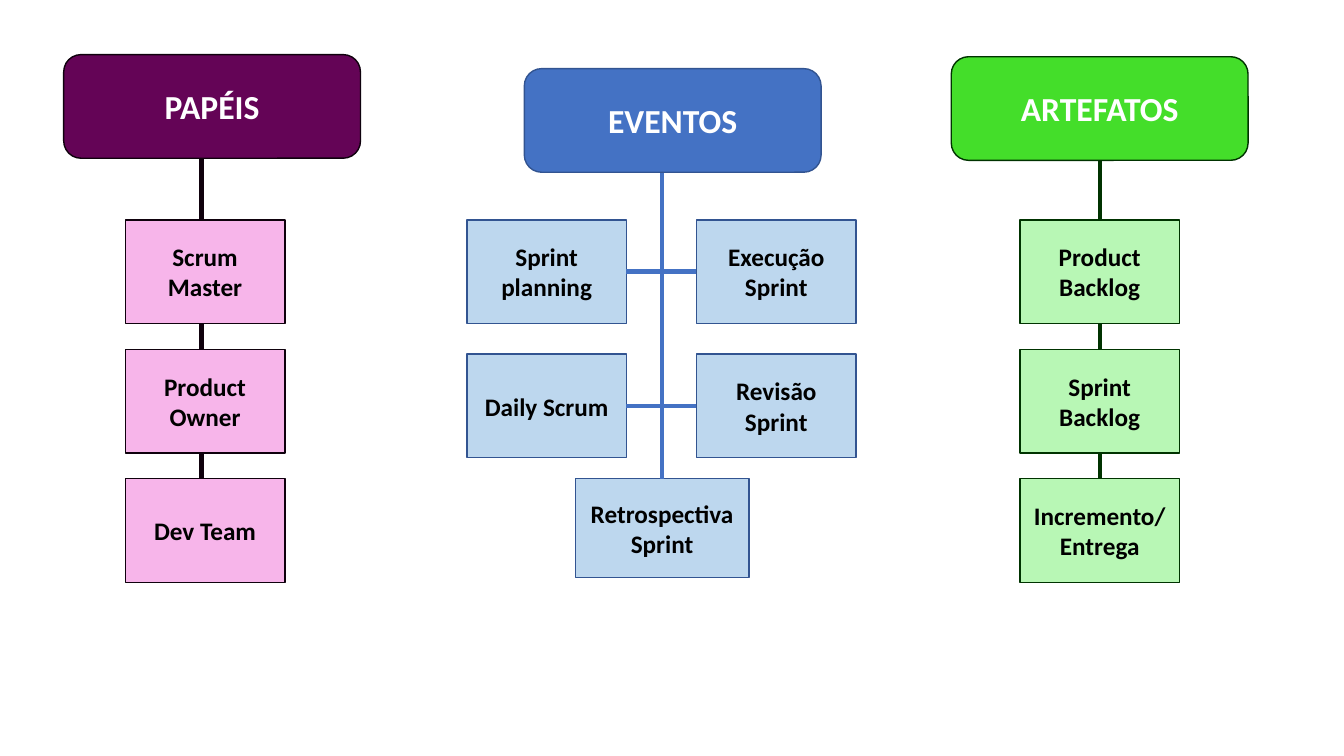
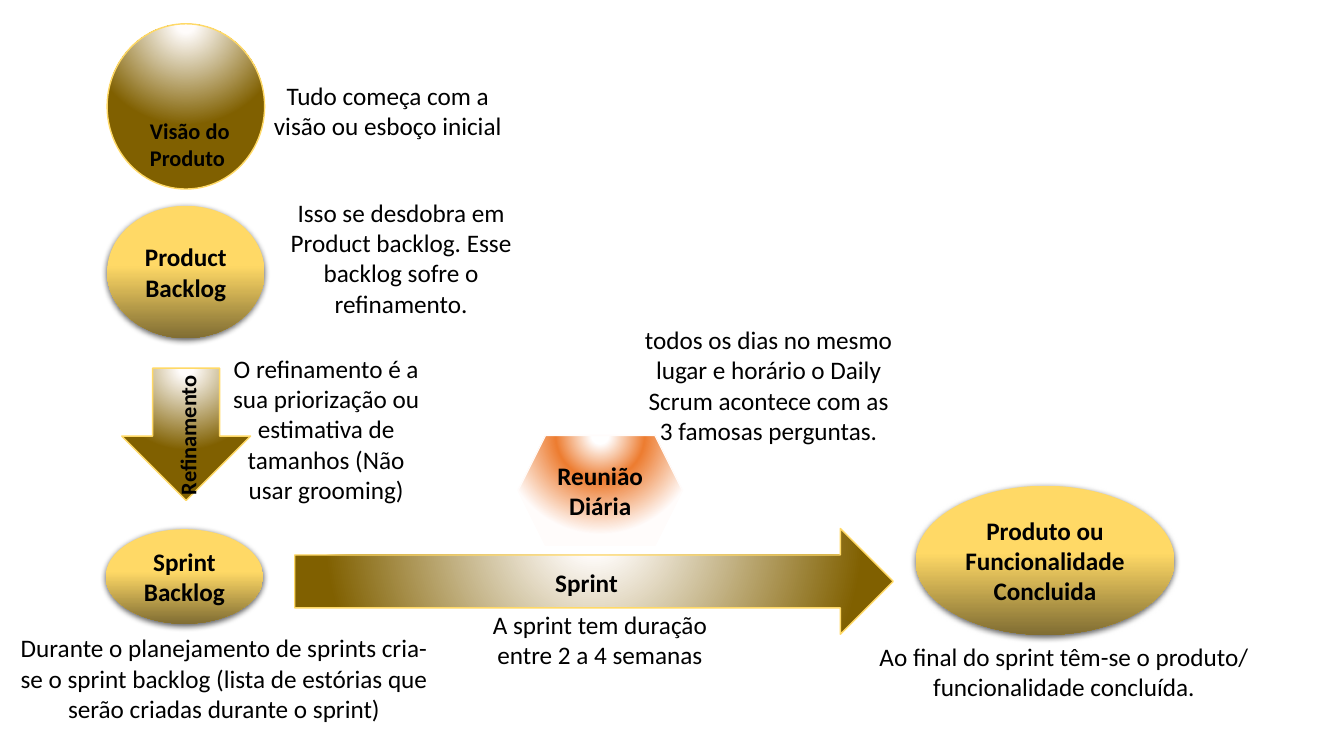
from dataclasses import dataclass

from pptx import Presentation
from pptx.dml.color import RGBColor
from pptx.enum.shapes import MSO_CONNECTOR as CONN, MSO_SHAPE as SHAPE
from pptx.enum.text import MSO_ANCHOR, MSO_AUTO_SIZE, PP_ALIGN
from pptx.oxml import parse_xml
from pptx.oxml.ns import nsdecls, qn
from pptx.util import Pt

RADIAL = ('<a:path path="circle"><a:fillToRect l="50000" t="-80000" '
          'r="50000" b="180000"/></a:path>')
LINEAR = '<a:lin ang="5400000" scaled="0"/>'


@dataclass(frozen=True)
class Palette:
    line: str
    head: str
    box: str
    spine: str


@dataclass(frozen=True)
class Gradient:
    stops: tuple
    direction: str


@dataclass(frozen=True)
class Theme:
    font: str = "Calibri"
    head_size: int = 24
    body_size: int = 18
    label_size: int = 16
    border: int = 1
    spine_width: int = 3
    white: str = "FFFFFF"
    black: str = "000000"
    gold_line: str = "FFD966"
    pale_line: str = "FFFCFB"
    roles: Palette = Palette("0F010D", "640456", "F7B5EA", "0F010D")
    events: Palette = Palette("325491", "4472C4", "BDD7EE", "4472C4")
    artifacts: Palette = Palette("003300", "44DE2A", "B8F7B5", "003300")
    olive: Gradient = Gradient(((8, "FFFCFB"), (89, "806000")), RADIAL)
    orange: Gradient = Gradient(
        ((9, "FFFFFF"), (45, "ED7D31"), (100, "FFFCFB")), RADIAL)
    gold: Gradient = Gradient(((45, "FFD966"), (100, "806D33")), LINEAR)


class Deck:
    BOX_W, BOX_H = 114, 74
    HEAD_W = 212

    def __init__(self, theme):
        self.t = theme
        self.prs = Presentation()
        self.prs.slide_width, self.prs.slide_height = Pt(960), Pt(540)
        self.s = None

    def new_slide(self):
        self.s = self.prs.slides.add_slide(self.prs.slide_layouts[6])

    def set_text(self, sp, text, size, color, bold, align):
        tf = sp.text_frame
        tf.word_wrap = True
        p = tf.paragraphs[0]
        p.text = text
        p.alignment = align
        p.font.name, p.font.size, p.font.bold = self.t.font, Pt(size), bold
        p.font.color.rgb = RGBColor.from_string(color)

    def shape(self, kind, at, fill, line=None, text=None, size=None,
              color=None, bold=True):
        sp = self.s.shapes.add_shape(kind, *map(Pt, at))
        sp.shadow.inherit = False
        if isinstance(fill, Gradient):
            self.gradient(sp, fill)
        else:
            sp.fill.solid()
            sp.fill.fore_color.rgb = RGBColor.from_string(fill)
        if line:
            sp.line.color.rgb = RGBColor.from_string(line)
            sp.line.width = Pt(self.t.border)
        else:
            sp.line.fill.background()
        if text:
            sp.text_frame.vertical_anchor = MSO_ANCHOR.MIDDLE
            self.set_text(sp, text, size or self.t.body_size,
                          color or self.t.black, bold, PP_ALIGN.CENTER)
        return sp

    def gradient(self, sp, grad):
        stops = "".join(
            f'<a:gs pos="{pos * 1000}"><a:srgbClr val="{color}"/></a:gs>'
            for pos, color in grad.stops)
        geom = sp._element.spPr.find(qn("a:prstGeom"))
        geom.addnext(parse_xml(
            f'<a:gradFill {nsdecls("a")} rotWithShape="1">'
            f'<a:gsLst>{stops}</a:gsLst>{grad.direction}</a:gradFill>'))

    def head(self, x, y, text, pal):
        return self.shape(SHAPE.ROUNDED_RECTANGLE,
                          (x, y, self.HEAD_W, self.BOX_H), pal.head, pal.line,
                          text, self.t.head_size, self.t.white)

    def box(self, x, y, text, pal, w=BOX_W, h=BOX_H):
        return self.shape(SHAPE.RECTANGLE, (x, y, w, h), pal.box, pal.line,
                          text)

    def caption(self, at, text):
        return self.shape(SHAPE.RECTANGLE, at, self.t.white, self.t.white,
                          text, bold=False)

    def golden_oval(self, at, text):
        sp = self.shape(SHAPE.OVAL, at, self.t.gold, text=text)
        sp._element.spPr.find(qn("a:effectLst")).append(parse_xml(
            f'<a:outerShdw {nsdecls("a")} blurRad="{Pt(4.5)}" '
            f'dist="{Pt(1.5)}" dir="5400000" rotWithShape="0">'
            f'<a:srgbClr val="{self.t.black}"><a:alpha val="63000"/>'
            '</a:srgbClr></a:outerShdw>'))

    def label(self, at, text, size, rotation=0):
        tb = self.s.shapes.add_textbox(*map(Pt, at))
        tb.rotation = rotation
        self.set_text(tb, text, size, self.t.black, True, PP_ALIGN.LEFT)
        tb.text_frame.auto_size = MSO_AUTO_SIZE.SHAPE_TO_FIT_TEXT

    def line(self, x1, y1, x2, y2, color):
        c = self.s.shapes.add_connector(CONN.STRAIGHT, *map(Pt, (x1, y1, x2, y2)))
        c.line.color.rgb = RGBColor.from_string(color)
        c.line.width = Pt(self.t.spine_width)
        c._element.spPr.append(parse_xml(f'<a:effectLst {nsdecls("a")}/>'))
        return c

    def link(self, left, right, color):
        c = self.line(0, 0, 1, 1, color)
        c.begin_connect(left, 3)
        c.end_connect(right, 1)

    def column(self, head_at, x, spine_x, title, items, pal):
        top, step = 157, 92.5
        bottom = top + step * (len(items) - 1) + self.BOX_H
        spine = self.line(spine_x, 52, spine_x, bottom, pal.spine)
        self.head(*head_at, title, pal)
        for i, item in enumerate(items):
            last = self.box(x, top + i * step, item, pal)
        if spine_x == x + self.BOX_W / 2:
            spine.end_connect(last, 2)


def scrum_overview(d):
    d.new_slide()
    d.column((45.5, 39), 89.5, 144, "PAPÉIS",
             ("Scrum Master", "Product Owner", "Dev Team"), d.t.roles)

    pal = d.t.events
    d.head(374.5, 49, "EVENTOS", pal)
    pairs = []
    for y, names in ((157, ("Sprint planning", "Execução Sprint")),
                     (253, ("Daily Scrum", "Revisão Sprint"))):
        pairs.append([d.box(x, y, name, pal)
                      for x, name in zip((333.5, 497.5), names)])
    retro = d.box(411, 342, "Retrospectiva Sprint", pal, 124, 70.5)
    d.line(473, 123.5, 473, 342, pal.spine).end_connect(retro, 0)
    for left, right in pairs:
        d.link(left, right, pal.spine)

    d.column((679.5, 40.5), 728.5, 785.5, "ARTEFATOS",
             ("Product Backlog", "Sprint Backlog", "Incremento/ Entrega"),
             d.t.artifacts)


def sprint_flow(d):
    d.new_slide()
    t = d.t
    for at, text in (
        ((154, 252.5, 158, 107.5),
         "O refinamento é a sua priorização ou estimativa de tamanhos "
         "(Não usar grooming)"),
        ((603.5, 456.5, 313, 46),
         "Ao final do sprint têm-se o produto/ funcionalidade concluída."),
        ((343, 433.5, 171, 46), "A sprint tem duração entre 2 a 4 semanas"),
        ((3.5, 445, 313, 78.5),
         "Durante o planejamento de sprints cria-se o sprint backlog "
         "(lista de estórias que serão criadas durante o sprint)"),
        ((450.5, 229, 197, 92),
         "todos os dias no mesmo lugar e horário o Daily Scrum acontece "
         "com as 3 famosas perguntas."),
        ((178.5, 39.5, 197, 78.5),
         "Tudo começa com a visão ou esboço inicial"),
        ((175, 148.5, 223, 71),
         "Isso se desdobra em Product backlog. Esse backlog sofre o "
         "refinamento."),
    ):
        d.caption(at, text)

    d.shape(SHAPE.OVAL, (76.5, 17, 112.5, 118), t.olive, t.gold_line)
    for at, text in (
        ((654, 347, 185, 106.5), "Produto ou Funcionalidade Concluida"),
        ((76.5, 147, 112.5, 94.5), "Product Backlog"),
        ((75.5, 378, 112.5, 67.5), "Sprint Backlog"),
    ):
        d.golden_oval(at, text)

    refine = d.shape(SHAPE.DOWN_ARROW, (87, 263, 92, 94.5), t.olive,
                     t.gold_line)
    refine.adjustments[0] = 0.52
    d.label((72.5, 286, 123, 26.5), "Refinamento", t.label_size, 270)
    sprint = d.shape(SHAPE.DOWN_ARROW, (386.5, 201.5, 75.5, 427.5), t.olive,
                     t.gold_line)
    sprint.rotation = 270
    d.label((389.5, 402, 123, 29), "Sprint", t.body_size)
    d.label((100, 80, 89.5, 46), "Visão do Produto", t.label_size)
    d.shape(SHAPE.HEXAGON, (370, 311, 117.5, 78.5), t.orange, t.pale_line,
            "Reunião Diária")


def main():
    d = Deck(Theme())
    scrum_overview(d)
    sprint_flow(d)
    d.prs.save("out.pptx")


if __name__ == "__main__":
    main()
